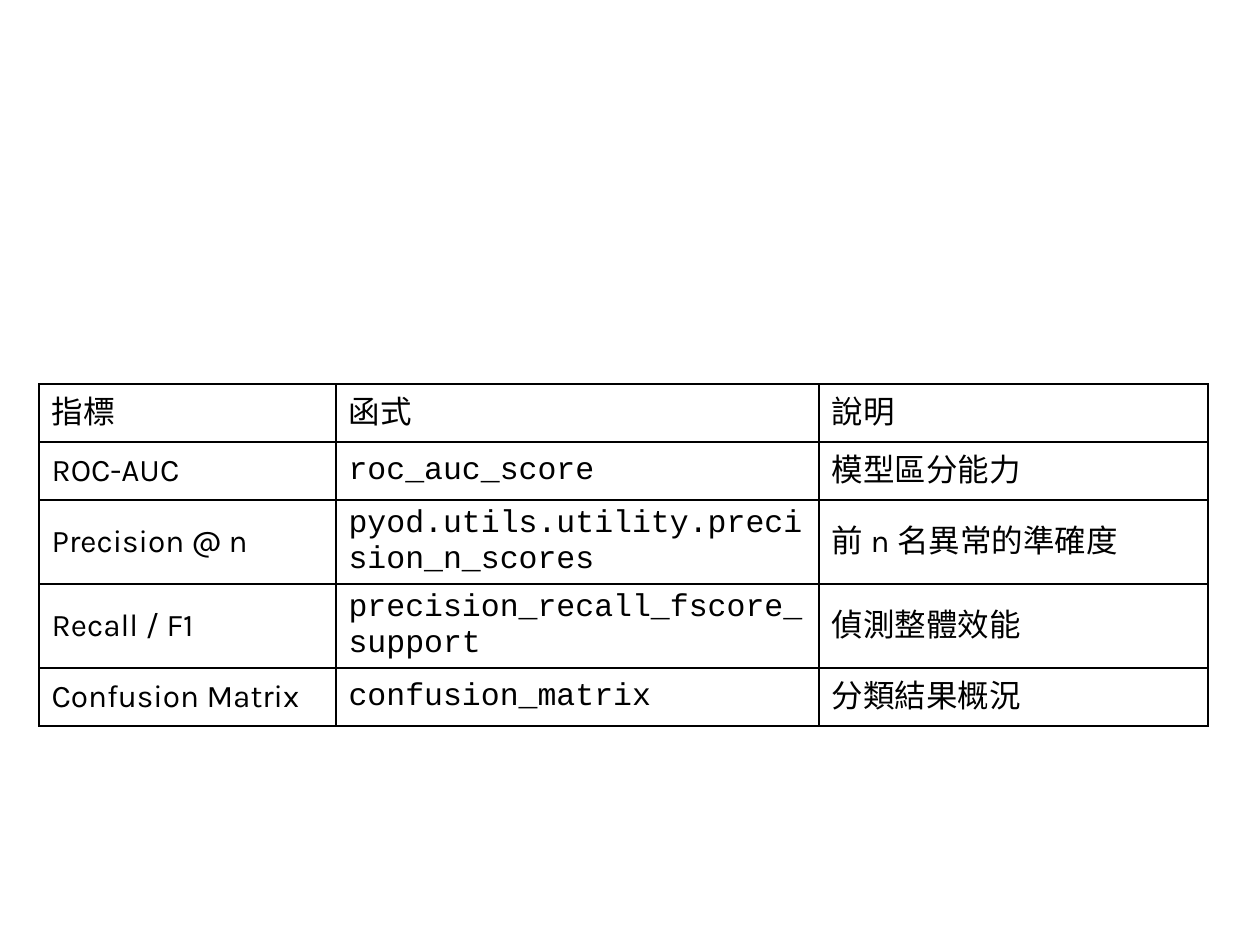
from lxml import etree
from pptx import Presentation
from pptx.dml.color import RGBColor
from pptx.enum.text import MSO_ANCHOR
from pptx.oxml.ns import qn
from pptx.util import Pt

EMU_PER_PX = 914400 / 126
MIDDLE = MSO_ANCHOR.MIDDLE
BLANK_LAYOUT = 6
COLORS = {"text": "000000", "border": "000000"}
BODY_FONT = "Karla"
CODE_FONT = "Courier New"

COLUMN_WIDTHS = [297, 483, 389]
ROW_HEIGHTS = [58, 58, 84, 84, 58]
METRICS = [
    ("指標", "函式", "說明"),
    ("ROC-AUC", "roc_auc_score", "模型區分能力"),
    ("Precision @ n", "pyod.utils.utility.precision_n_scores", "前 n 名異常的準確度"),
    ("Recall / F1", "precision_recall_fscore_support", "偵測整體效能"),
    ("Confusion Matrix", "confusion_matrix", "分類結果概況"),
]


def px(length):
    return round(length * EMU_PER_PX)


def write_text(frame, text, *, font=BODY_FONT, size=18, color="text"):
    span = frame.paragraphs[0].add_run()
    span.text = text
    span.font.name = font
    span.font.size = Pt(size)
    span.font.color.rgb = RGBColor.from_string(COLORS[color])
    for script in ("a:ea", "a:cs"):
        etree.SubElement(span.font._element, qn(script), typeface=font)


class SlideBuilder:
    """Holds the table style and the slide being filled."""

    border_width = Pt(1)

    def __init__(self, page):
        self.page = page

    def add_borders(self, cell):
        properties = cell._tc.get_or_add_tcPr()
        for side in ("a:lnL", "a:lnR", "a:lnT", "a:lnB"):
            line = etree.SubElement(properties, qn(side), w=str(self.border_width))
            fill = etree.SubElement(line, qn("a:solidFill"))
            etree.SubElement(fill, qn("a:srgbClr"), val=COLORS["border"])

    def add_table(self, left, top, widths, heights, rows, code_column):
        table = self.page.shapes.add_table(
            len(heights), len(widths), px(left), px(top), px(sum(widths)), px(sum(heights))
        ).table
        table.first_row = False
        table.horz_banding = False
        for column, width in zip(table.columns, widths):
            column.width = px(width)
        for row, height in zip(table.rows, heights):
            row.height = px(height)
        for row_index, texts in enumerate(rows):
            for column_index, text in enumerate(texts):
                cell = table.cell(row_index, column_index)
                is_code = row_index > 0 and column_index == code_column
                cell.vertical_anchor = MIDDLE
                self.add_borders(cell)
                cell.fill.background()
                write_text(cell.text_frame, text, font=CODE_FONT if is_code else BODY_FONT)


def main():
    deck = Presentation()
    deck.slide_width, deck.slide_height = px(1260), px(945)
    page = deck.slides.add_slide(deck.slide_layouts[BLANK_LAYOUT])
    builder = SlideBuilder(page)
    builder.add_table(39, 384, COLUMN_WIDTHS, ROW_HEIGHTS, METRICS, code_column=1)
    deck.save("out.pptx")


if __name__ == "__main__":
    main()
